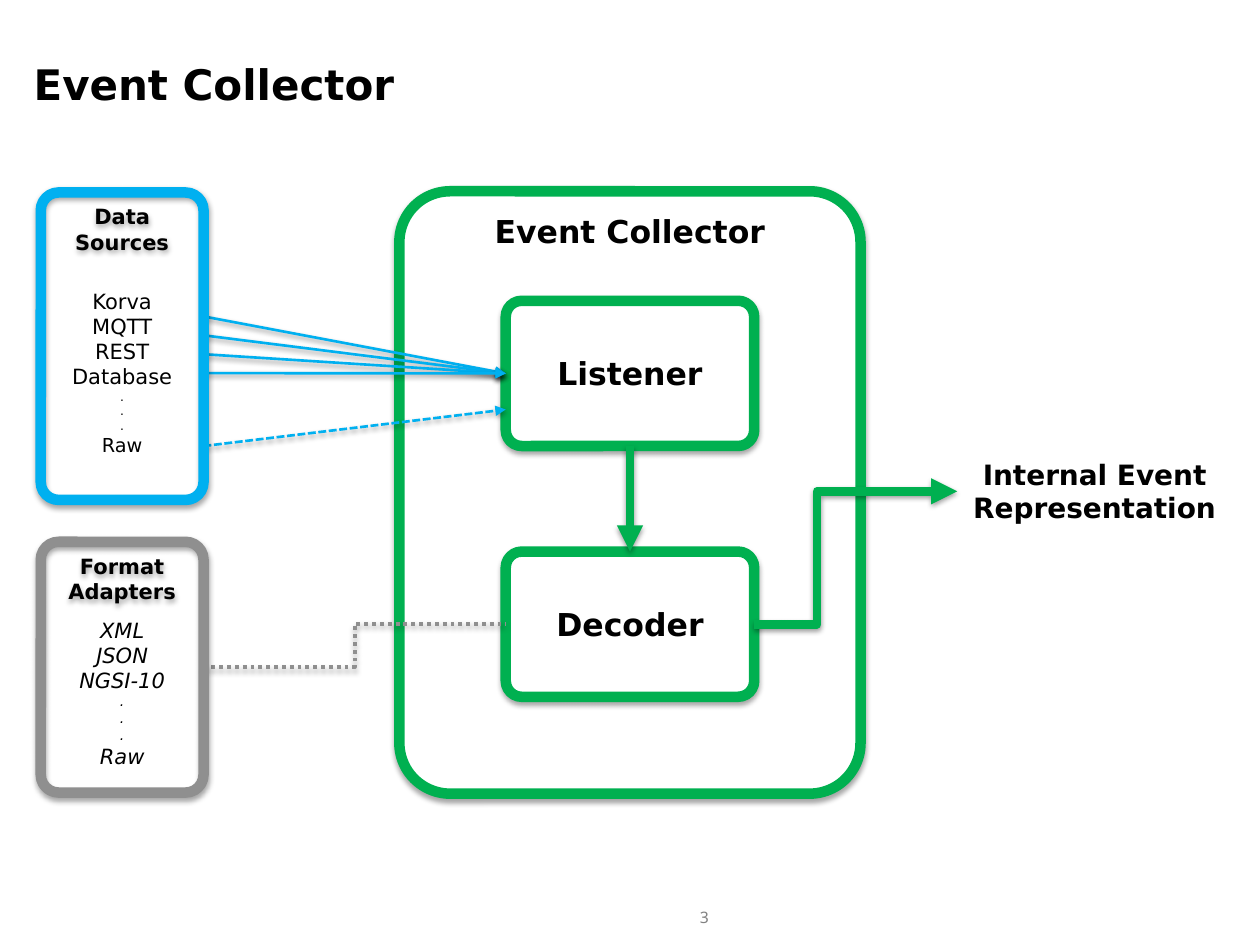
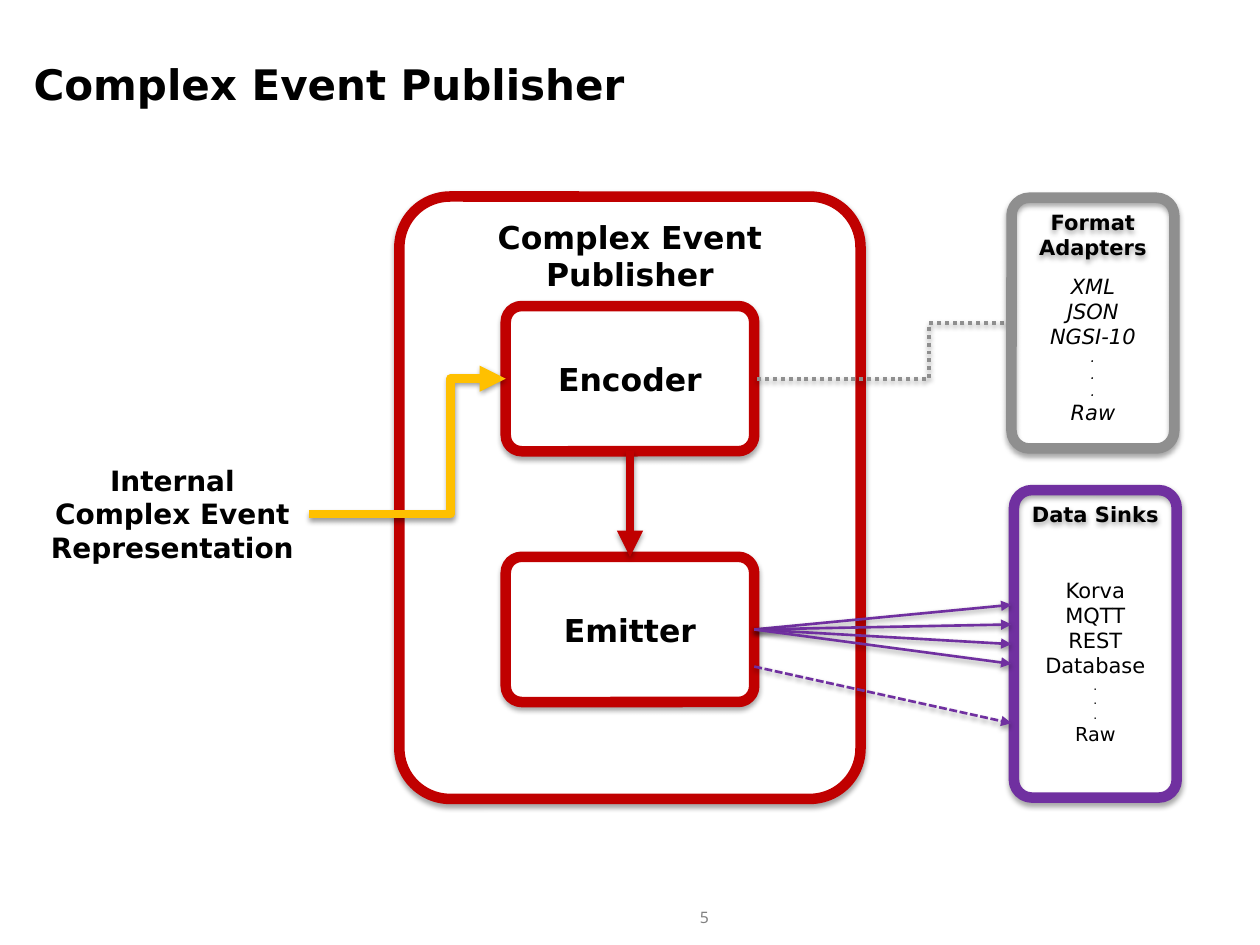
from collections import namedtuple
from copy import deepcopy

from lxml.etree import SubElement
from pptx import Presentation
from pptx.dml.color import RGBColor
from pptx.enum.dml import MSO_LINE
from pptx.enum.shapes import MSO_CONNECTOR, MSO_SHAPE
from pptx.enum.text import MSO_ANCHOR, MSO_AUTO_SIZE, PP_ALIGN
from pptx.oxml.ns import qn
from pptx.util import Pt

STRAIGHT, ELBOW = MSO_CONNECTOR.STRAIGHT, MSO_CONNECTOR.ELBOW
DASHED, DOTTED = MSO_LINE.SQUARE_DOT, MSO_LINE.ROUND_DOT
TOP, MIDDLE = MSO_ANCHOR.TOP, MSO_ANCHOR.MIDDLE
LEFT, CENTER = PP_ALIGN.LEFT, PP_ALIGN.CENTER
NO_FIT = MSO_AUTO_SIZE.NONE
ROUNDED = MSO_SHAPE.ROUNDED_RECTANGLE

FONT, FOOTER_FONT = "DejaVu Sans", "Noto Sans"
COLORS = {
    "text": "000000", "paper": "FFFFFF", "footer": "818181",
    "collector": "00B050", "publisher": "C00000", "sources": "00B0F0",
    "sinks": "7030A0", "adapters": "8F8F8F", "input": "FFC000",
}
CHANNELS = [("Korva\vMQTT\vREST\vDatabase", 12)] + [(".", 7)] * 3 + [("Raw", 11)]
FORMATS = [("XML", 12), ("JSON", 12), ("NGSI-10", 12)] + [(".", 8)] * 3 + [("Raw", 12)]

Box = namedtuple("Box", "left top width height")
PANEL_SIZE = (263.5, 344.2)
STAGE_SIZE = (142, 83)
STAGE_OFFSET = (60.75, 62.6)
STAGE_PITCH = 143.3
CHANNEL_CARD_SIZE = (93, 175.7)
FORMAT_CARD_SIZE = (93, 143.3)


def rgb(name):
    """Return the named colour."""
    return RGBColor.from_string(COLORS[name])


def points(box):
    """Turn a box into lengths."""
    return [Pt(length) for length in box]


def format_text(paragraph, size, bold=False, italic=False, align=CENTER, color="text", font=FONT):
    """Style a paragraph, its runs and its line breaks."""
    paragraph.alignment = align
    for run in paragraph.runs:
        run.font.name, run.font.size = font, Pt(size)
        run.font.bold, run.font.italic = bold, italic
        run.font.color.rgb = rgb(color)
    for line_break in paragraph._p.findall(qn("a:br")):
        line_break.insert(0, deepcopy(paragraph.runs[0].font._element))


def add_shadow(properties, distance, opacity):
    """Give shape properties a soft shadow that falls straight down."""
    effects = properties.find(qn("a:effectLst"))
    if effects is None:
        effects = SubElement(properties, qn("a:effectLst"))
    shadow = SubElement(effects, qn("a:outerShdw"), blurRad=str(Pt(3.1)),
                        dist=str(Pt(distance)), dir="5400000", rotWithShape="0")
    black = SubElement(shadow, qn("a:srgbClr"), val=COLORS["text"])
    SubElement(black, qn("a:alpha"), val=str(opacity * 1000))


def add_frame(slide, box, heading, size, color, anchor=TOP, filled=True):
    """Draw a rounded, outlined frame with a bold heading."""
    frame = slide.shapes.add_shape(ROUNDED, *points(box))
    frame.adjustments[0] = 0.11
    if filled:
        frame.fill.solid()
        frame.fill.fore_color.rgb = rgb("paper")
    else:
        frame.fill.background()
    frame.line.color.rgb = rgb(color)
    frame.line.width = Pt(6)
    frame.shadow.inherit = False
    add_shadow(frame._element.spPr, 1.8, 35)
    frame.text_frame.text = heading
    frame.text_frame.word_wrap = True
    frame.text_frame.vertical_anchor = anchor
    format_text(frame.text_frame.paragraphs[0], size, bold=True)


def add_lines(slide, box, lines, anchor=TOP, **style):
    """Write one paragraph for each pair of text and size."""
    frame = slide.shapes.add_textbox(*points(box)).text_frame
    frame.word_wrap = True
    frame.vertical_anchor = anchor
    for index, (line, size) in enumerate(lines):
        paragraph = frame.add_paragraph() if index else frame.paragraphs[0]
        paragraph.text = line
        format_text(paragraph, size, **style)
    return frame


def add_link(slide, start, end, color, width, dash=None, arrow=True, bend=None):
    """Link two points, straight or with an elbow at the share given by bend."""
    kind = STRAIGHT if bend is None else ELBOW
    link = slide.shapes.add_connector(kind, *points(start + end))
    link.line.color.rgb = rgb(color)
    link.line.width = Pt(width)
    if dash:
        link.line.dash_style = dash
    properties = link._element.spPr
    if arrow:
        SubElement(properties.find(qn("a:ln")), qn("a:tailEnd"), type="triangle")
    if bend is not None:
        guides = properties.find(qn("a:prstGeom")).find(qn("a:avLst"))
        SubElement(guides, qn("a:gd"), name="adj1", fmla=f"val {round(bend * 100000)}")
    add_shadow(properties, 1.6, 38)


def add_page(deck, title, number):
    """Add a slide with its title and page number."""
    slide = deck.slides.add_slide(deck.slide_layouts[5])
    heading = slide.shapes.title
    heading.left, heading.top, heading.width, heading.height = points((12, 30, 515.5, 60))
    heading.text_frame.text = title
    heading.text_frame.auto_size = NO_FIT
    heading.text_frame.vertical_anchor = TOP
    format_text(heading.text_frame.paragraphs[0], 24, bold=True, align=LEFT)
    footer = add_lines(slide, (378, 514.8, 49, 18.7), [(number, 9)], MIDDLE,
                       color="footer", font=FOOTER_FONT)
    footer.paragraphs[0].space_before = Pt(4.6)
    return slide


def add_component(slide, left, top, name, stages, color):
    """Draw a component with two linked stages and return the stage boxes."""
    add_frame(slide, (left, top, *PANEL_SIZE), name, 18, color)
    boxes = [Box(left + STAGE_OFFSET[0], top + STAGE_OFFSET[1] + row * STAGE_PITCH, *STAGE_SIZE)
             for row in range(len(stages))]
    for box, stage in zip(boxes, stages):
        add_frame(slide, box, stage, 18, color, MIDDLE)
    upper, lower = boxes
    middle = upper.left + upper.width / 2
    add_link(slide, (middle, upper.top + upper.height), (middle, lower.top), color, 5)
    return boxes


def add_card(slide, box, heading, lines, list_top, color, italic=False):
    """Draw a card with a heading and a centred list."""
    list_box = (box.left + 7, box.top + list_top, box.width - 14, box.height - list_top)
    add_lines(slide, list_box, lines, italic=italic)
    add_frame(slide, box, heading, 12, color, filled=False)


def left_port(box):
    """Return the middle of the left side."""
    return box.left, box.top + box.height / 2


def right_port(box):
    """Return the middle of the right side."""
    return box.left + box.width, box.top + box.height / 2


def build_collector(deck):
    """Build the slide on collecting events."""
    slide = add_page(deck, "Event Collector", "3")
    listener, decoder = add_component(slide, 228.25, 109.3, "Event Collector",
                                      ["Listener", "Decoder"], "collector")
    sources = Box(23.3, 110, *CHANNEL_CARD_SIZE)
    adapters = Box(23.3, 309.6, *FORMAT_CARD_SIZE)
    add_lines(slide, (547, 257.8, 157, 46), [("Internal Event Representation", 16)], bold=True)
    edge = right_port(sources)[0]
    for row in range(4):
        add_link(slide, (edge, 180.8 + 10.8 * row), left_port(listener), "sources", 1.5)
    add_link(slide, (edge, 254.9), (listener.left, 234), "sources", 1.5, DASHED)
    add_link(slide, right_port(adapters), left_port(decoder), "adapters", 2.25,
             DOTTED, arrow=False, bend=0.5)
    add_card(slide, sources, "Data Sources", CHANNELS, 51.1, "sources")
    add_card(slide, adapters, "Format Adapters", FORMATS, 39.6, "adapters", italic=True)
    add_link(slide, right_port(decoder), (547, 280.8), "collector", 5, bend=0.31)


def build_publisher(deck):
    """Build the slide on publishing complex events."""
    slide = add_page(deck, "Complex Event Publisher", "5")
    encoder, emitter = add_component(slide, 228.25, 112.3, "Complex Event Publisher",
                                     ["Encoder", "Emitter"], "publisher")
    adapters = Box(578, 113, *FORMAT_CARD_SIZE)
    sinks = Box(579.4, 280.1, *CHANNEL_CARD_SIZE)
    add_lines(slide, (20, 261.2, 157, 65.5), [("Internal Complex Event Representation", 16)],
              bold=True)
    add_link(slide, left_port(adapters), right_port(encoder), "adapters", 2.25,
             DOTTED, arrow=False, bend=0.32)
    add_card(slide, sinks, "Data Sinks", CHANNELS, 46.1, "sinks")
    add_card(slide, adapters, "Format Adapters", FORMATS, 39.6, "adapters", italic=True)
    add_link(slide, (176.5, 293.8), left_port(encoder), "input", 5, bend=0.72)
    edge = adapters.left
    for row in range(4):
        add_link(slide, right_port(emitter), (edge, 345.6 + 11.25 * row), "sinks", 1.5)
    add_link(slide, (right_port(emitter)[0], 380.9), (edge, 413.3), "sinks", 1.5, DASHED)


def main():
    """Build and save the deck."""
    deck = Presentation()
    deck.slide_width, deck.slide_height = Pt(720), Pt(540)
    build_collector(deck)
    build_publisher(deck)
    deck.save("out.pptx")


main()
